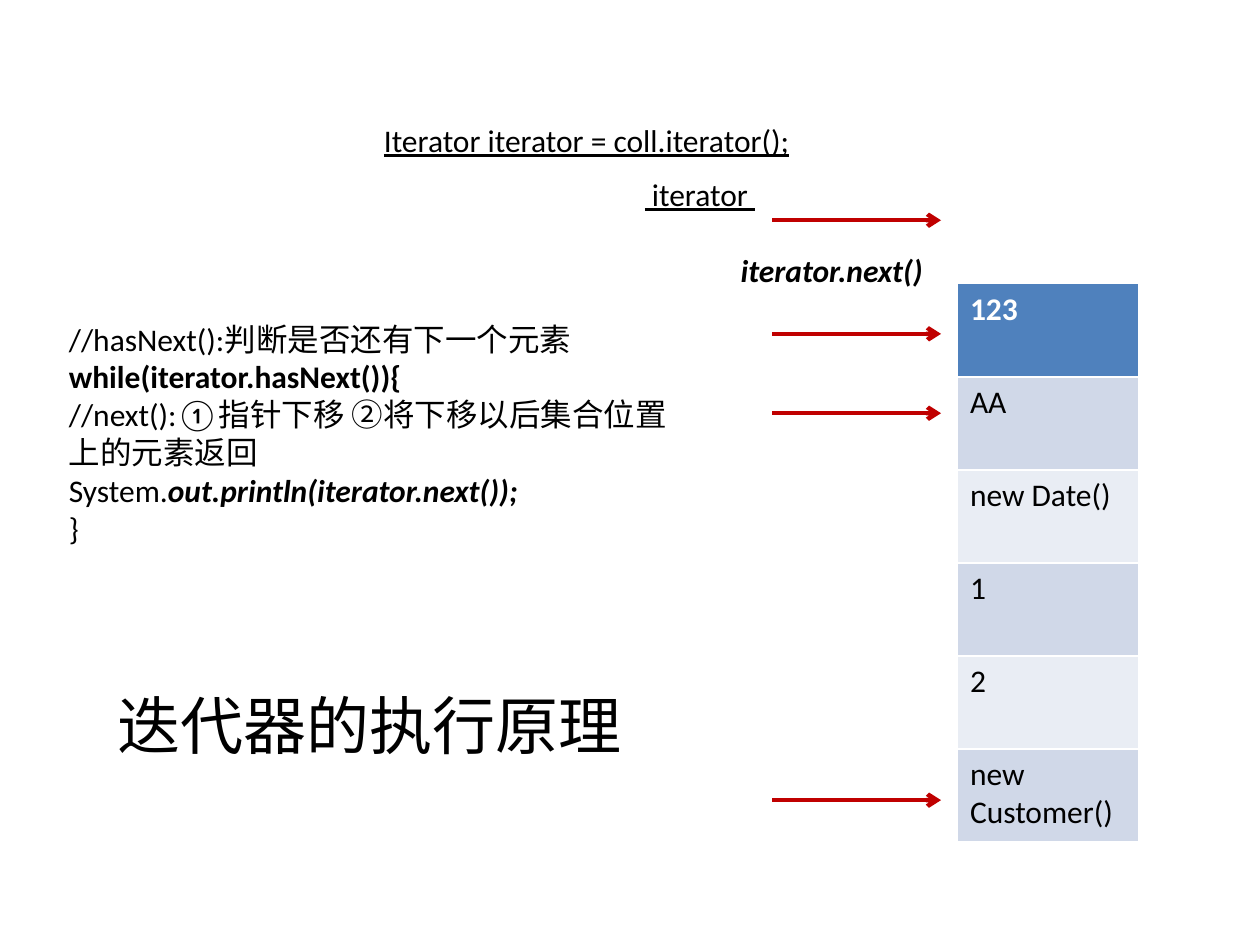
from lxml.etree import SubElement
from pptx import Presentation
from pptx.dml.color import RGBColor
from pptx.enum.shapes import MSO_CONNECTOR
from pptx.enum.text import MSO_ANCHOR, PP_ALIGN
from pptx.oxml.ns import qn
from pptx.util import Cm, Pt

COLORS = {
    "text": "000000",
    "arrow": "C00000",
    "header": "4F81BD",
    "header_text": "FFFFFF",
    "odd": "D0D8E8",
    "even": "E9EDF4",
}


def add_run(paragraph, text, color="text", size=18, **font_values):
    run = paragraph.add_run()
    run.text = text
    run.font.color.rgb = RGBColor.from_string(COLORS[color])
    values = {"name": "Calibri", "size": Pt(size), **font_values}
    for name, value in values.items():
        setattr(run.font, name, value)


presentation = Presentation()
presentation.slide_width = Cm(25.4)
presentation.slide_height = Cm(19.05)
slide = presentation.slides.add_slide(presentation.slide_layouts[5])

elements = ["123", "AA", "new Date()", "1", "2", "new Customer()"]
row_height = Cm(1.875)
table = slide.shapes.add_table(
    len(elements), 1, Cm(19.3), Cm(5.72), Cm(3.66), row_height * len(elements)
).table
for index, element in enumerate(elements):
    table.rows[index].height = row_height
    cell = table.cell(index, 0)
    fill = "header" if index == 0 else "odd" if index % 2 else "even"
    cell.fill.solid()
    cell.fill.fore_color.rgb = RGBColor.from_string(COLORS[fill])
    color = "header_text" if index == 0 else "text"
    add_run(cell.text_frame.paragraphs[0], element, color, bold=index == 0)

for arrow_top in (4.44, 6.73, 8.33, 16.13):
    arrow = slide.shapes.add_connector(
        MSO_CONNECTOR.STRAIGHT, Cm(15.57), Cm(arrow_top), Cm(18.97), Cm(arrow_top)
    )
    arrow.line.color.rgb = RGBColor.from_string(COLORS["arrow"])
    arrow.line.width = Pt(2.5)
    SubElement(arrow.line._get_or_add_ln(), qn("a:tailEnd"), type="arrow")
    SubElement(arrow._element.spPr, qn("a:effectLst"))

code_lines = [
    [("//hasNext():判断是否还有下一个元素", {})],
    [("while(iterator.hasNext()){", {"bold": True})],
    [("//next():①指针下移 ②将下移以后集合位置上的元素返回", {})],
    [("System.", {}), ("out.println(iterator.next());", {"bold": True, "italic": True})],
    [("}", {})],
]
text_boxes = [
    ((7.49, 2.31, 8.76, 1.02), False,
     [[("Iterator iterator = coll.iterator();", {"underline": True})]]),
    ((12.75, 3.4, 2.77, 1.02), False, [[(" iterator ", {"underline": True})]]),
    ((14.68, 4.93, 4.22, 1.02), False,
     [[("iterator.next()", {"bold": True, "italic": True})]]),
    ((1.14, 6.32, 12.7, 4.88), True, code_lines),
]
for position, wraps, lines in text_boxes:
    text_frame = slide.shapes.add_textbox(*map(Cm, position)).text_frame
    text_frame.word_wrap = wraps
    for index, line in enumerate(lines):
        paragraph = text_frame.add_paragraph() if index else text_frame.paragraphs[0]
        for text, font_values in line:
            add_run(paragraph, text, **font_values)

title = slide.shapes.title
title_position = {"left": 2.11, "top": 13.72, "width": 11, "height": 1.8}
for name, value in title_position.items():
    setattr(title, name, Cm(value))
title.text_frame.vertical_anchor = MSO_ANCHOR.TOP
title_paragraph = title.text_frame.paragraphs[0]
title_paragraph.alignment = PP_ALIGN.LEFT
add_run(title_paragraph, "迭代器的执行原理", size=36)

presentation.save("out.pptx")
